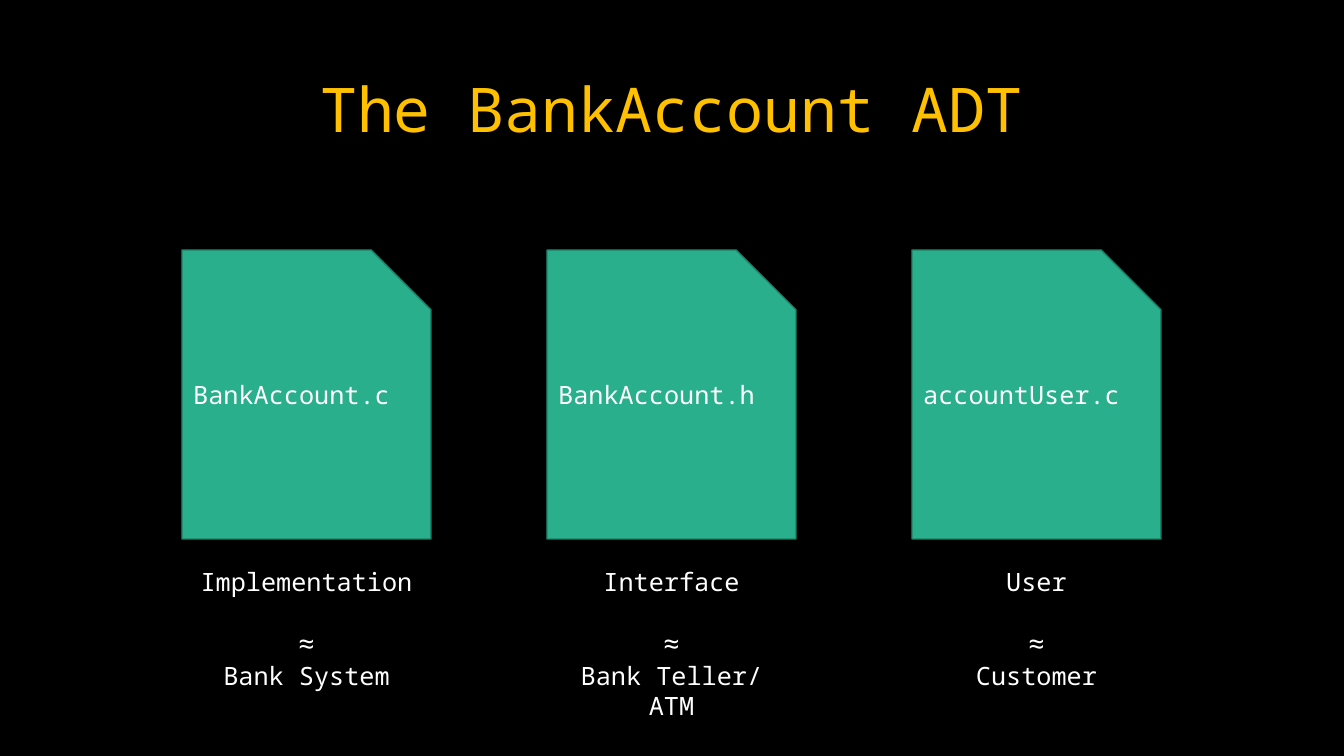
from dataclasses import dataclass

from pptx import Presentation
from pptx.dml.color import RGBColor
from pptx.enum.shapes import MSO_SHAPE
from pptx.enum.text import MSO_ANCHOR, PP_ALIGN
from pptx.util import Emu, Pt


@dataclass(frozen=True)
class Theme:
    """Colours, font and type sizes of the slide."""
    background: str = "000000"
    title: str = "FFC000"
    text: str = "FFFFFF"
    file_fill: str = "29AF8C"
    file_line: str = "1E8168"
    font: str = "Noto Sans Mono"
    title_size: int = 44
    symbol_size: int = 20
    body_size: int = 18


def px(length):
    """Turn whole pixels into EMU."""
    return Emu(round(length * 914400 / 100.8))


def rgb(value):
    """Turn a hex string into a colour."""
    return RGBColor.from_string(value)


class SlideBuilder:
    """Draws styled elements on the current slide."""

    def __init__(self, page, theme):
        """Keep the page and theme, and paint the background."""
        self.page = page
        self.theme = theme
        fill = page.background.fill
        fill.solid()
        fill.fore_color.rgb = rgb(theme.background)

    def add_lines(self, frame, lines, color, anchor, line_spacing=None):
        """Put centred (text, size) lines in a frame, one paragraph each."""
        frame.word_wrap = True
        frame.vertical_anchor = anchor
        for index, (text, size) in enumerate(lines):
            para = frame.add_paragraph() if index else frame.paragraphs[0]
            para.alignment = PP_ALIGN.CENTER
            para.line_spacing = line_spacing
            span = para.add_run()
            span.text = text
            span.font.name = self.theme.font
            span.font.size = Pt(size)
            span.font.color.rgb = rgb(color)

    def add_text(self, area, lines, color=None, anchor=MSO_ANCHOR.TOP, line_spacing=None):
        """Add a text box."""
        box = self.page.shapes.add_textbox(*map(px, area))
        self.add_lines(box.text_frame, lines, color or self.theme.text, anchor, line_spacing)

    def add_file(self, area, name):
        """Add a file sheet with a snipped corner, its name above the middle."""
        theme = self.theme
        sheet = self.page.shapes.add_shape(MSO_SHAPE.SNIP_1_RECTANGLE, *map(px, area))
        sheet.adjustments[0] = 0.24
        sheet.shadow.inherit = False
        sheet.fill.solid()
        sheet.fill.fore_color.rgb = rgb(theme.file_fill)
        sheet.line.color.rgb = rgb(theme.file_line)
        sheet.line.width = Pt(1)
        sheet.text_frame.margin_bottom = px(35)
        self.add_lines(sheet.text_frame, [(name, theme.body_size)], theme.text, MSO_ANCHOR.MIDDLE)


COLUMN_LEFT, COLUMN_PITCH, COLUMN_WIDTH = 182, 365, 249
COLUMNS = [
    ("BankAccount.c", "Implementation", ["Bank System"]),
    ("BankAccount.h", "Interface", ["Bank Teller/", "ATM"]),
    ("accountUser.c", "User", ["Customer"]),
]


def main():
    """Build the slide and save it."""
    deck = Presentation()
    deck.slide_width, deck.slide_height = px(1344), px(756)
    theme = Theme()
    builder = SlideBuilder(deck.slides.add_slide(deck.slide_layouts[6]), theme)

    builder.add_text((92, 40, 1159, 146), [("The BankAccount ADT", theme.title_size)],
                     theme.title, MSO_ANCHOR.MIDDLE, 0.9)
    for index, (file_name, role, analogy) in enumerate(COLUMNS):
        left = COLUMN_LEFT + index * COLUMN_PITCH
        builder.add_file((left, 250, COLUMN_WIDTH, 289), file_name)
        builder.add_text((left, 561, COLUMN_WIDTH, 40), [(role, theme.body_size)])
        lines = [("≈", theme.symbol_size)] + [(line, theme.body_size) for line in analogy]
        builder.add_text((left, 622, COLUMN_WIDTH, 44 + 30 * len(analogy)), lines)

    deck.save("out.pptx")


main()
